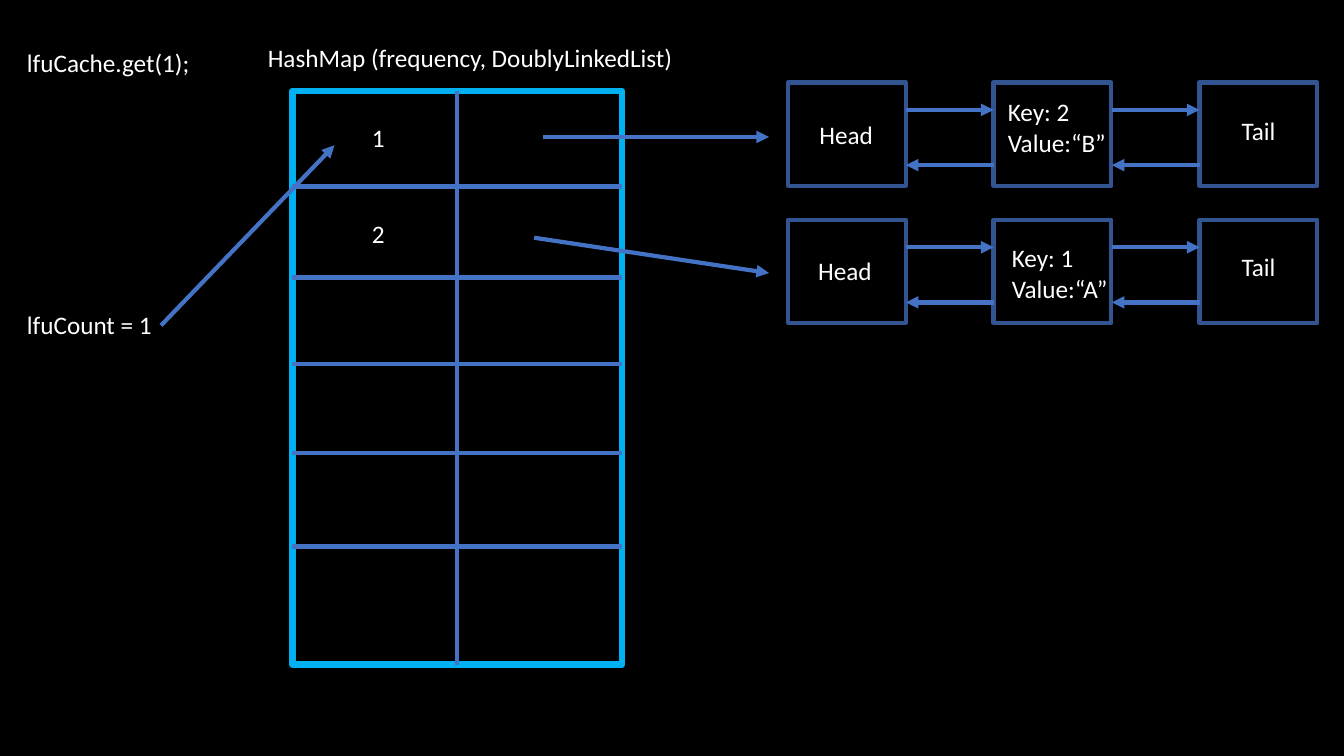
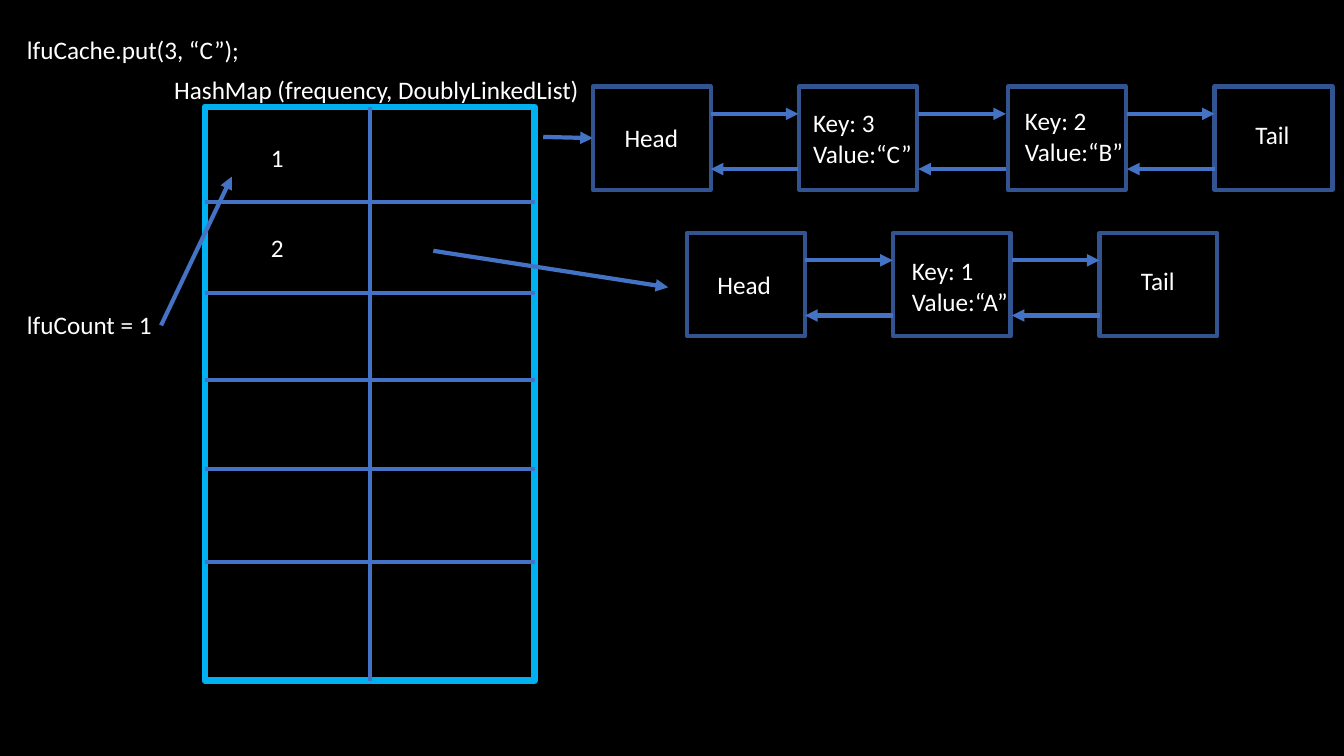
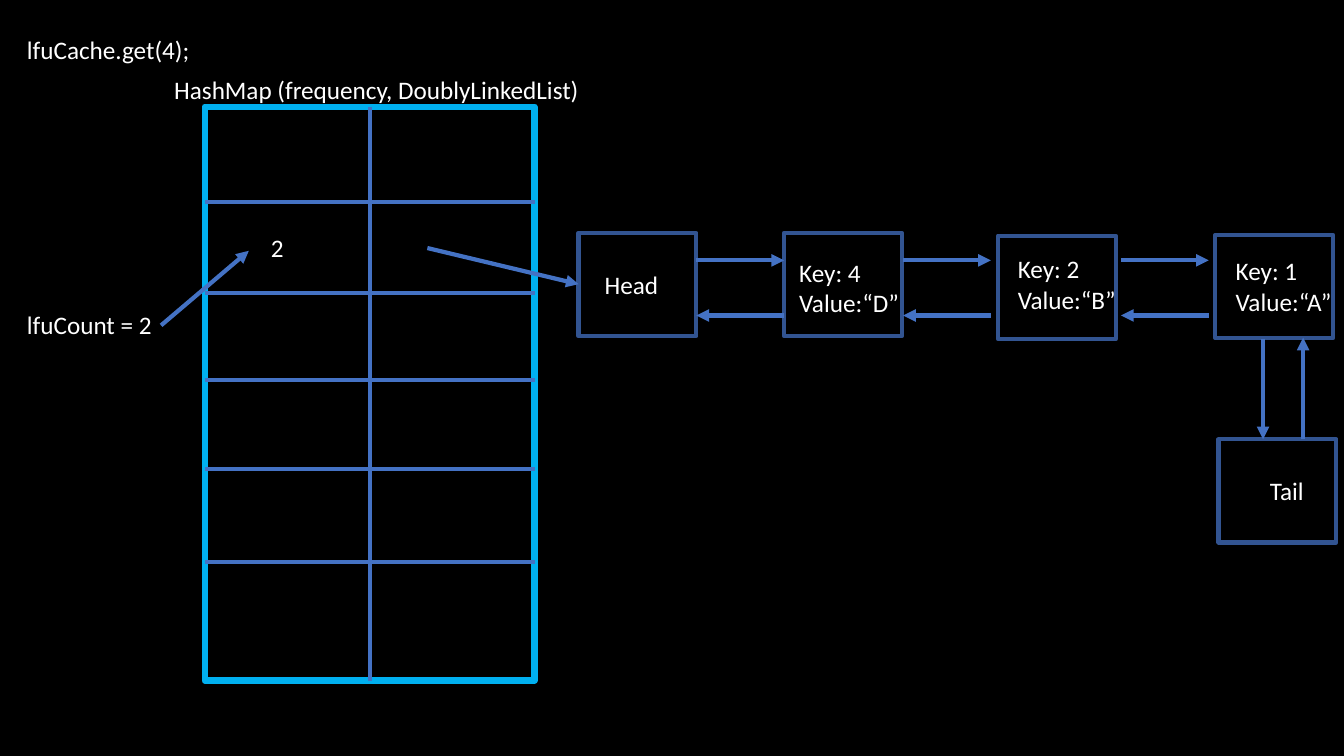
import pptx
import pptx.util
import pptx.dml.color
import pptx.enum.shapes
import pptx.enum.text
from lxml import etree

Cm = pptx.util.Cm
BLACK, WHITE = "000000", "FFFFFF"
LINK_BLUE, NODE_BLUE, TABLE_CYAN = "4472C4", "325491", "00B0F0"
FONT = "Calibri"

# All lengths are in centimetres.
SLIDE_WIDTH, SLIDE_HEIGHT = 33.87, 19.05
TABLE_WIDTH, TABLE_HEIGHT = 8.31, 14.46
ROW_LINES = (2.41, 4.7, 6.88, 9.12, 11.48)
NODE_WIDTH, NODE_HEIGHT = 2.97, 2.6
LINK_LENGTH, NEXT_OFFSET, PREVIOUS_OFFSET = 2.21, 0.69, 2.08
LABEL_WIDTH, LINE_HEIGHT = 3.58, 0.9
COUNT_AT, COUNT_ARROW_START = (0.43, 7.67), (4.06, 8.2)
TITLE = "HashMap (frequency, DoublyLinkedList)"

# A list has the top of its links, the left of each link pair, and its nodes.
# A node is (text lines, node position, label position).
STEPS = [
    {
        "call": "lfuCache.get(1);", "call_at": (0.43, 1.07),
        "title_at": (6.5, 0.94), "table_at": (7.37, 2.29),
        "count": "lfuCount = 1", "count_target": (8.43, 3.66),
        "frequencies": [("1", (9.12, 2.95)), ("2", (9.12, 5.38))],
        "arrows": [((13.69, 3.45), (19.38, 3.45)), ((13.46, 5.99), (19.38, 6.88))],
        "lists": [
            (2.08, (22.83, 28.02), [
                (["Head"], (19.86, 2.08), (20.4, 2.87)),
                (["Key: 2", "Value:“B”"], (25.04, 2.08), (25.15, 2.31)),
                (["Tail"], (30.23, 2.08), (31.04, 2.79)),
            ]),
            (5.54, (22.83, 28.02), [
                (["Head"], (19.86, 5.54), (20.37, 6.32)),
                (["Key: 1", "Value:“A”"], (25.04, 5.54), (25.25, 5.99)),
                (["Tail"], (30.23, 5.54), (31.04, 6.22)),
            ]),
        ],
    },
    {
        "call": "lfuCache.put(3, “C”);", "call_at": (0.43, 0.74),
        "title_at": (4.14, 1.75), "table_at": (5.16, 2.69),
        "count": "lfuCount = 1", "count_target": (5.84, 4.45),
        "frequencies": [("1", (6.58, 3.45)), ("2", (6.58, 5.72))],
        "arrows": [((13.69, 3.45), (14.94, 3.48)), ((10.92, 6.32), (16.84, 7.24))],
        "lists": [
            (2.18, (17.91, 23.14, 28.4), [
                (["Head"], (14.94, 2.18), (15.49, 2.97)),
                (["Key: 3", "Value:“C”"], (20.14, 2.18), (20.24, 2.59)),
                (["Key: 2", "Value:“B”"], (25.4, 2.18), (25.58, 2.54)),
                (["Tail"], (30.61, 2.18), (31.39, 2.87)),
            ]),
            (5.87, (20.29, 25.5), [
                (["Head"], (17.32, 5.87), (17.83, 6.65)),
                (["Key: 1", "Value:“A”"], (22.5, 5.87), (22.73, 6.32)),
                (["Tail"], (27.71, 5.87), (28.5, 6.55)),
            ]),
        ],
    },
    {
        "call": "lfuCache.get(4);", "call_at": (0.43, 0.74),
        "title_at": (4.14, 1.75), "table_at": (5.16, 2.69),
        "count": "lfuCount = 2", "count_target": (6.27, 6.32),
        "frequencies": [("2", (6.58, 5.72))],
        "arrows": [
            ((10.77, 6.25), (14.58, 7.16)),
            ((32.84, 11.07), (32.84, 8.51)),
            ((31.83, 8.53), (31.83, 11.07)),
        ],
        "lists": [
            (5.87, (17.55, 22.76, 28.25), [
                (["Head"], (14.58, 5.87), (14.99, 6.65)),
                (["Key: 4 Value:“D”"], (19.76, 5.87), (19.89, 6.35)),
                (["Key: 2", "Value:“B”"], (25.15, 5.94), (25.4, 6.27)),
                (["Key: 1", "Value:“A”"], (30.63, 5.92), (30.89, 6.32)),
                (["Tail"], (30.71, 11.07), (31.75, 11.86)),
            ]),
        ],
    },
]


def colour(value):
    return pptx.dml.color.RGBColor.from_string(value)


def add_text(slide, lines, at, width=LABEL_WIDTH, size=18, color=WHITE):
    left, top = at
    width = min(width, SLIDE_WIDTH - left)
    height = 0.12 + LINE_HEIGHT * len(lines)
    label = slide.shapes.add_textbox(Cm(left), Cm(top), Cm(width), Cm(height))
    frame = label.text_frame
    frame.word_wrap = True
    frame.auto_size = pptx.enum.text.MSO_AUTO_SIZE.SHAPE_TO_FIT_TEXT
    frame.text = "\n".join(lines)
    for paragraph in frame.paragraphs:
        font = paragraph.runs[0].font
        font.name, font.size = FONT, pptx.util.Pt(size)
        font.color.rgb = colour(color)


def add_box(slide, at, width, height, outline, weight):
    box = slide.shapes.add_shape(
        pptx.enum.shapes.MSO_SHAPE.RECTANGLE,
        Cm(at[0]), Cm(at[1]), Cm(width), Cm(height))
    box.shadow.inherit = False
    box.fill.solid()
    box.fill.fore_color.rgb = colour(BLACK)
    box.line.color.rgb = colour(outline)
    box.line.width = pptx.util.Pt(weight)


def add_line(slide, start, end, arrow=False):
    line = slide.shapes.add_connector(
        pptx.enum.shapes.MSO_CONNECTOR.STRAIGHT,
        *(Cm(length) for length in (*start, *end)))
    line.line.color.rgb = colour(LINK_BLUE)
    line.line.width = pptx.util.Pt(3)
    namespace = pptx.oxml.ns.qn
    if arrow:
        outline = line.line._get_or_add_ln()
        etree.SubElement(outline, namespace("a:tailEnd"), type="triangle")
    etree.SubElement(line._element.spPr, namespace("a:effectLst"))


def add_hash_table(slide, at):
    left, top = at
    middle, right = left + TABLE_WIDTH / 2, left + TABLE_WIDTH
    add_box(slide, at, TABLE_WIDTH, TABLE_HEIGHT, TABLE_CYAN, 4.5)
    add_line(slide, (middle, top), (middle, top + TABLE_HEIGHT))
    for offset in ROW_LINES:
        add_line(slide, (left, top + offset), (right, top + offset))


def add_linked_list(slide, top, link_lefts, nodes):
    for _, node_at, _ in nodes:
        add_box(slide, node_at, NODE_WIDTH, NODE_HEIGHT, NODE_BLUE, 3)
    next_y, previous_y = top + NEXT_OFFSET, top + PREVIOUS_OFFSET
    for left in link_lefts:
        right = left + LINK_LENGTH
        add_line(slide, (left, next_y), (right, next_y), arrow=True)
        add_line(slide, (right, previous_y), (left, previous_y), arrow=True)
    for lines, _, label_at in nodes:
        add_text(slide, lines, label_at)


def add_step(deck, step):
    slide = deck.slides.add_slide(deck.slide_layouts[6])
    add_text(slide, [TITLE], step["title_at"], width=11.99)
    add_hash_table(slide, step["table_at"])
    add_text(slide, [step["call"]], step["call_at"], width=6.53)
    add_text(slide, [step["count"]], COUNT_AT, width=6.53)
    for frequency, at in step["frequencies"]:
        add_text(slide, [frequency], at, width=1)
    for linked_list in step["lists"]:
        add_linked_list(slide, *linked_list)
    for start, end in [(COUNT_ARROW_START, step["count_target"]), *step["arrows"]]:
        add_line(slide, start, end, arrow=True)


def main():
    deck = pptx.Presentation()
    deck.slide_width, deck.slide_height = Cm(SLIDE_WIDTH), Cm(SLIDE_HEIGHT)
    background = deck.slide_master.background.fill
    background.solid()
    background.fore_color.rgb = colour(BLACK)
    for step in STEPS:
        add_step(deck, step)
    deck.save("out.pptx")


if __name__ == "__main__":
    main()
